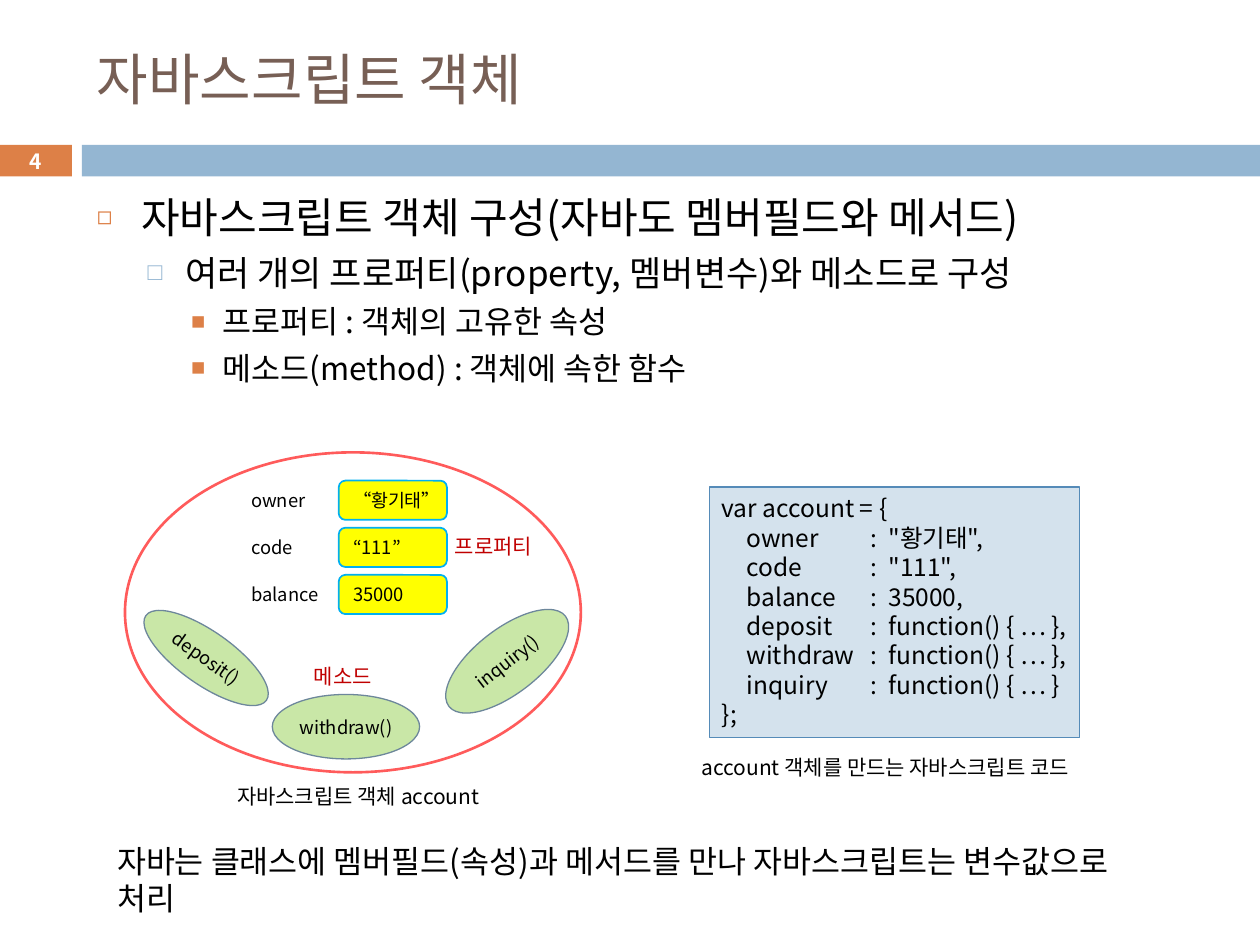
from lxml import etree
from pptx import Presentation
from pptx.dml.color import RGBColor
from pptx.enum import shapes, text
from pptx.oxml.ns import qn
from pptx.util import Cm, Pt

FONT = "Noto Sans CJK KR"
LINE_HEIGHT = 1.2

BLACK = RGBColor(0x00, 0x00, 0x00)
WHITE = RGBColor(0xFF, 0xFF, 0xFF)
BROWN = RGBColor(0x77, 0x5F, 0x55)
ORANGE = RGBColor(0xDD, 0x80, 0x47)
BLUE = RGBColor(0x94, 0xB6, 0xD2)
PALE_BLUE = RGBColor(0xD4, 0xE2, 0xED)
STEEL_BLUE = RGBColor(0x55, 0x8B, 0xB8)
GREEN = RGBColor(0xC9, 0xE7, 0xA7)
SLATE = RGBColor(0x6D, 0x87, 0x9B)
RED = RGBColor(0xFF, 0x5B, 0x5B)
DARK_RED = RGBColor(0xC0, 0x00, 0x00)
YELLOW = RGBColor(0xFF, 0xFF, 0x00)
CYAN = RGBColor(0x00, 0xB0, 0xF0)

RECTANGLE = shapes.MSO_SHAPE.RECTANGLE
ROUNDED = shapes.MSO_SHAPE.ROUNDED_RECTANGLE
OVAL = shapes.MSO_SHAPE.OVAL
LEFT, CENTER = text.PP_ALIGN.LEFT, text.PP_ALIGN.CENTER
TOP, MIDDLE = text.MSO_ANCHOR.TOP, text.MSO_ANCHOR.MIDDLE


def style_paragraph(paragraph, size, color, align=LEFT, bold=False):
    paragraph.alignment = align
    paragraph.line_spacing = Pt(round(size * LINE_HEIGHT, 1))
    font = paragraph.font
    font.size, font.bold, font.name = Pt(size), bold, FONT
    font.color.rgb = color
    properties = paragraph._p.pPr.find(qn("a:defRPr"))
    etree.SubElement(properties, qn("a:ea"), typeface=FONT)


def write(shape, content, size, color=BLACK, align=LEFT, anchor=TOP,
          wrap=True, bold=False):
    frame = shape.text_frame
    frame.text = content
    frame.word_wrap = wrap
    frame.auto_size = text.MSO_AUTO_SIZE.NONE
    frame.vertical_anchor = anchor
    for paragraph in frame.paragraphs:
        style_paragraph(paragraph, size, color, align, bold)


def add_shape(slide, kind, box, fill=None, line=None, width=0.75):
    shape = slide.shapes.add_shape(kind, *map(Cm, box))
    shape.shadow.inherit = False
    if fill is None:
        shape.fill.background()
    else:
        shape.fill.solid()
        shape.fill.fore_color.rgb = fill
    if line is None:
        shape.line.fill.background()
    else:
        shape.line.color.rgb = line
        shape.line.width = Pt(width)
    return shape


def add_label(slide, box, content, size=12, color=BLACK):
    write(slide.shapes.add_textbox(*map(Cm, box)), content, size, color)


def place(shape, box):
    shape.left, shape.top, shape.width, shape.height = map(Cm, box)


def fill_title(slide, box):
    title = slide.shapes.title
    place(title, box)
    write(title, "자바스크립트 객체", 32, BROWN, anchor=MIDDLE)


def add_header_band(slide, box):
    """Numbered block, a small gap, then a bar to the right edge."""
    left, top, width, height = box
    number_width, gap = 1.45, 0.2
    number = add_shape(slide, RECTANGLE, (left, top, number_width, height), ORANGE)
    number.text_frame.margin_top = number.text_frame.margin_bottom = 0
    write(number, "4", 12, WHITE, CENTER, MIDDLE, bold=True)
    start = number_width + gap
    add_shape(slide, RECTANGLE, (left + start, top, width - start, height), BLUE)


def set_bullet(paragraph, character, color, percent, indent, hanging):
    properties = paragraph._p.get_or_add_pPr()
    properties.set("marL", str(Cm(indent)))
    properties.set("indent", str(-Cm(hanging)))
    bullet_color = etree.Element(qn("a:buClr"))
    etree.SubElement(bullet_color, qn("a:srgbClr"), val=str(color))
    bullet_size = etree.Element(qn("a:buSzPct"), val=str(percent * 1000))
    bullet = etree.Element(qn("a:buChar"), char=character)
    font = properties.find(qn("a:defRPr"))
    for element in (bullet_color, bullet_size, bullet):
        font.addprevious(element)


def fill_outline(slide, box):
    levels = [  # size, space before, bullet, colour, percent, indent, hanging
        (24, 7, "◻", ORANGE, 60, 0.89, 0.89),
        (20, 5.5, "□", BLUE, 70, 1.78, 0.76),
        (18, 5, "■", ORANGE, 75, 2.54, 0.64),
    ]
    items = [
        (0, "자바스크립트 객체 구성(자바도 멤버필드와 메서드)"),
        (1, "여러 개의 프로퍼티(property, 멤버변수)와 메소드로 구성"),
        (2, "프로퍼티 : 객체의 고유한 속성"),
        (2, "메소드(method) : 객체에 속한 함수"),
    ]
    body = slide.placeholders[1]
    place(body, box)
    write(body, "\n".join(content for _, content in items), 18)
    for paragraph, (level, _) in zip(body.text_frame.paragraphs, items):
        size, before, *bullet = levels[level]
        paragraph.level = level
        paragraph.space_before = Pt(before)
        paragraph.font.size = Pt(size)
        paragraph.line_spacing = Pt(round(size * LINE_HEIGHT, 1))
        set_bullet(paragraph, *bullet)


def add_object_diagram(slide, box):
    left, top, width, height = box
    methods = [
        ("deposit()", 0.15, 3.61, 1.07, 35.1),
        ("withdraw()", 2.97, 4.88, 1.3, 0),
        ("inquiry()", 6.22, 3.56, 1.3, 322.2),
    ]
    for name, x, y, method_height, rotation in methods:
        method = add_shape(slide, OVAL, (left + x, top + y, 2.97, method_height),
                           GREEN, SLATE)
        method.rotation = rotation
        write(method, name, 10.5, align=CENTER, anchor=MIDDLE, wrap=False)

    add_shape(slide, OVAL, box, line=RED, width=1.5)

    fields = [("owner", "“황기태”"), ("code", "“111”"), ("balance", "35000")]
    for row, (name, value) in enumerate(fields):
        y = top + 0.57 + 0.95 * row
        label = add_shape(slide, ROUNDED, (left + 2.26, y, 2.18, 0.79))
        cell = add_shape(slide, ROUNDED, (left + 4.31, y, 2.18, 0.79),
                         YELLOW, CYAN, 1)
        cell.text_frame.margin_right = 0
        write(label, name, 10.5)
        write(cell, value, 10.5)

    add_label(slide, (left + 6.4, top + 1.52, 2.4, 0.76), "프로퍼티", color=DARK_RED)
    add_label(slide, (left + 3.56, top + 4.14, 2, 0.76), "메소드", color=DARK_RED)
    add_label(slide, (left + 2.01, top + height + 0.1, 5.77, 0.76),
              "자바스크립트 객체 account")


def add_code_panel(slide, box):
    left, top, width, height = box
    members = [
        ("owner", '"황기태",'),
        ("code", '"111",'),
        ("balance", "35000,"),
        ("deposit", "function() { … },"),
        ("withdraw", "function() { … },"),
        ("inquiry", "function() { … }"),
    ]
    lines = [f"\t{name}\t:\t{value}" for name, value in members]
    panel = add_shape(slide, RECTANGLE, box, PALE_BLUE, STEEL_BLUE)
    write(panel, "\n".join(["var account = {", *lines, "};"]), 14, wrap=False)
    for paragraph in panel.text_frame.paragraphs:
        tabs = etree.Element(qn("a:tabLst"))
        for position in (0.5, 3, 3.36):
            etree.SubElement(tabs, qn("a:tab"), pos=str(Cm(position)), algn="l")
        paragraph._p.pPr.find(qn("a:defRPr")).addprevious(tabs)
    add_label(slide, (left - 0.41, top + height + 0.21, 8.79, 0.76),
              "account 객체를 만드는 자바스크립트 코드")


def main():
    presentation = Presentation()
    presentation.slide_width, presentation.slide_height = Cm(25.4), Cm(19.05)
    slide = presentation.slides.add_slide(presentation.slide_layouts[1])
    fill_title(slide, (1.7, 0.64, 22.66, 1.88))
    add_header_band(slide, (0, 2.92, 25.4, 0.64))
    fill_outline(slide, (1.7, 3.73, 22.66, 14))
    add_code_panel(slide, (14.3, 9.82, 7.47, 5.05))
    add_object_diagram(slide, (2.52, 9.12, 9.19, 6.45))
    add_label(slide, (2.11, 16.84, 22.78, 1.8),
              "자바는 클래스에 멤버필드(속성)과 메서드를 만나 "
              "자바스크립트는 변수값으로\v처리", 18)
    presentation.save("out.pptx")


if __name__ == "__main__":
    main()
